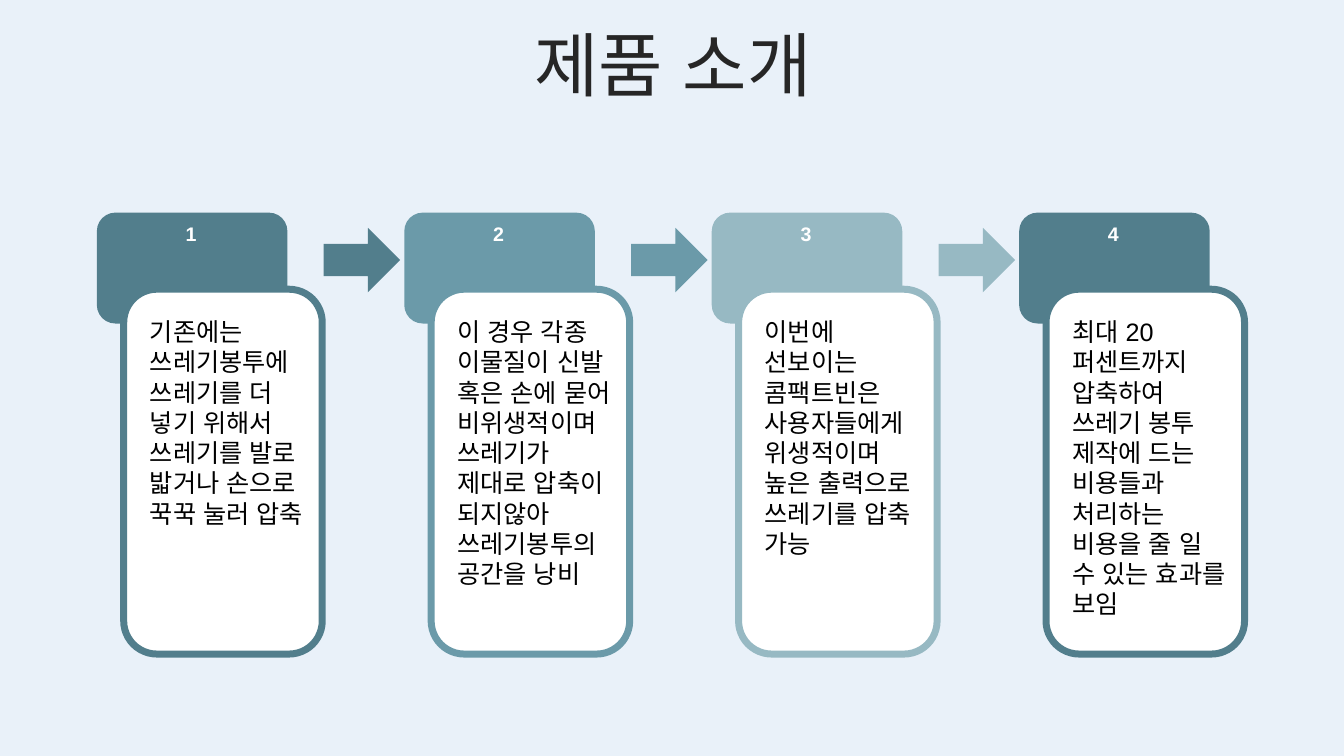
from pptx import Presentation
from pptx.dml.color import RGBColor
from pptx.enum.lang import MSO_LANGUAGE_ID
from pptx.enum.shapes import MSO_SHAPE
from pptx.enum.text import MSO_ANCHOR, MSO_AUTO_SIZE, PP_ALIGN
from pptx.util import Pt

TITLE = "제품 소개"
# text, colour, height of the text box
STEPS = [
    ("기존에는 쓰레기봉투에 쓰레기를 더 넣기 위해서 쓰레기를 발로 밟거나 손으로 꾹꾹 눌러 압축",
     "527E8C", 181.5),
    ("이 경우 각종 이물질이 신발 혹은 손에 묻어 비위생적이며 쓰레기가 제대로 압축이 되지않아 "
     "쓰레기봉투의 공간을 낭비", "6B9AA9", 225.4),
    ("이번에 선보이는 콤팩트빈은 사용자들에게 위생적이며 높은 출력으로 쓰레기를 압축 가능",
     "97B9C3", 181.5),
    ("최대 20퍼센트까지 압축하여 쓰레기 봉투 제작에 드는 비용들과 처리하는 비용을 줄 일 수 있는 "
     "효과를 보임", "527E8C", 203.8),
]
LEFT, TOP, PITCH = 69.2, 151.9, 219.6


def rgb(value):
    return RGBColor.from_string(value)


def add_box(shapes, kind, x, y, w, h, fill, line=None):
    sp = shapes.add_shape(kind, Pt(x), Pt(y), Pt(w), Pt(h))
    sp.shadow.inherit = False
    sp.fill.solid()
    sp.fill.fore_color.rgb = rgb(fill)
    if line:
        sp.line.color.rgb = rgb(line)
        sp.line.width = Pt(5)
    else:
        sp.line.fill.background()


def add_text(shapes, text, x, y, w, h, size, color, align=PP_ALIGN.LEFT, bold=False):
    tf = shapes.add_textbox(Pt(x), Pt(y), Pt(w), Pt(h)).text_frame
    tf.word_wrap = True
    tf.auto_size = MSO_AUTO_SIZE.SHAPE_TO_FIT_TEXT
    p = tf.paragraphs[0]
    p.alignment = align
    r = p.add_run()
    r.text = text
    r.font.name = "Arial"
    r.font.size = Pt(size)
    r.font.bold = bold
    r.font.color.rgb = rgb(color)
    r.font.language_id = MSO_LANGUAGE_ID.KOREAN
    return tf


prs = Presentation()
prs.slide_width, prs.slide_height = Pt(960), Pt(540)
s = prs.slides.add_slide(prs.slide_layouts[6])
s.background.fill.solid()
s.background.fill.fore_color.rgb = rgb("E9F1F9")

tf = add_text(s.shapes, TITLE, 25.2, 22.3, 911.5, 56.9, 50, "262626", PP_ALIGN.CENTER)
tf.auto_size = MSO_AUTO_SIZE.NONE
tf.vertical_anchor = MSO_ANCHOR.MIDDLE
tf.paragraphs[0].line_spacing = 0.8

for i, (text, color, height) in enumerate(STEPS):
    x = LEFT + i * PITCH
    step = s.shapes.add_group_shape().shapes
    add_box(step, MSO_SHAPE.ROUNDED_RECTANGLE, x, TOP, 136.1, 79.2, color)
    add_box(step, MSO_SHAPE.ROUNDED_RECTANGLE, x + 19.2, TOP + 54.7, 141.8, 260.6, "FFFFFF", color)
    add_text(step, str(i + 1), x + 1.8, TOP + 2.9, 131, 24.5, 14, "FFFFFF", PP_ALIGN.CENTER, True)
    add_text(step, text, x + 30.8, TOP + 70.6, 124.6, height, 18, "000000")
    if i < len(STEPS) - 1:
        add_box(s.shapes, MSO_SHAPE.RIGHT_ARROW, x + 162, TOP + 10.8, 54.7, 46.1, color)

prs.save("out.pptx")
